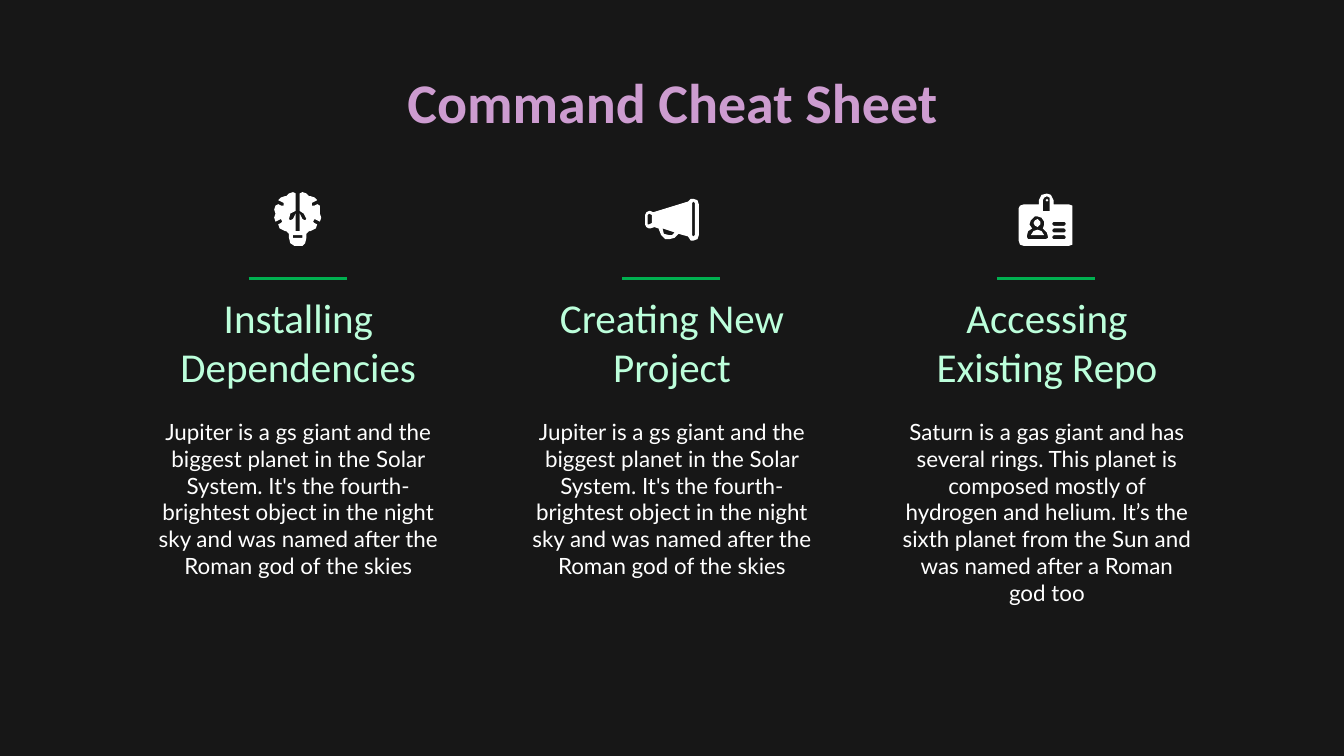
"""Build the Command Cheat Sheet slide with three icon columns."""
from lxml import etree
from pptx import Presentation, util as u
from pptx.dml.color import RGBColor
from pptx.enum import shapes, text
from pptx.oxml.ns import qn

Inches = u.Inches
COLORS = {
    "background": "171717",
    "white": "FFFFFF",
    "rule": "00B050",
    "title": "CD9CD0",
    "heading": "BCFFDB",
    "fade": "9CCAED",
}

presentation = Presentation()
presentation.slide_width = Inches(10)
presentation.slide_height = Inches(10 * 9 / 16)
slide = presentation.slides.add_slide(presentation.slide_layouts[6])
slide.background.fill.solid()
slide.background.fill.fore_color.rgb = RGBColor.from_string(COLORS["background"])


def add_text(words, left, top, width, height, size, font, colors, bold=False, anchor="TOP"):
    shape = slide.shapes.add_textbox(Inches(left), Inches(top), Inches(width), Inches(height))
    frame = shape.text_frame
    frame.word_wrap = True
    frame.vertical_anchor = text.MSO_ANCHOR[anchor]
    frame.margin_left = frame.margin_right = Inches(0.1)
    frame.margin_top = frame.margin_bottom = Inches(0.1)
    paragraph = frame.paragraphs[0]
    paragraph.alignment = text.PP_ALIGN.CENTER
    run = paragraph.add_run()
    run.text = words
    run.font.name = font
    run.font.size = u.Pt(size)
    run.font.bold = bold
    if len(colors) == 1:
        run.font.fill.solid()
        run.font.fill.fore_color.rgb = RGBColor.from_string(COLORS[colors[0]])
    else:
        run.font.fill.gradient()
        for stop, color in zip(run.font.fill.gradient_stops, colors):
            stop.color.rgb = RGBColor.from_string(COLORS[color])


def add_outline(parent, contours):
    builder = None
    for start, *points in contours:
        if builder is None:
            builder = parent.build_freeform(*start, scale=Inches(0.01))
        else:
            builder.move_to(*start)
        builder.add_line_segments(points, close=True)
    shape = builder.convert_to_shape()
    shape.shadow.inherit = False
    shape.fill.solid()
    shape.fill.fore_color.rgb = RGBColor.from_string(COLORS["white"])
    shape.line.fill.background()


brain_bulb = [
    [(225, 175), (225, 177), (218, 177), (218, 175)],
    [(218, 143), (215, 144), (213, 146), (212, 146), (209, 147), (207, 149), (211, 151),
     (211, 153), (210, 153), (209, 153), (207, 152), (205, 153), (204, 156), (205, 159),
     (204, 162), (205, 165), (209, 163), (210, 165), (209, 166), (207, 167), (208, 170),
     (212, 172), (213, 172), (215, 174), (215, 177), (216, 181), (219, 183), (222, 183),
     (225, 183), (227, 181), (228, 177), (228, 174), (230, 172), (231, 172), (235, 170),
     (236, 167), (234, 166), (233, 165), (234, 163), (238, 165), (239, 162), (238, 159),
     (238, 156), (238, 153), (236, 152), (234, 153), (233, 153), (232, 153), (232, 151),
     (236, 149), (234, 147), (231, 146), (230, 146), (228, 144), (225, 143), (223, 144),
     (223, 157), (226, 159), (228, 163), (227, 164), (225, 163), (223, 159), (223, 172),
     (220, 172), (220, 159), (218, 163), (216, 164), (215, 163), (216, 159), (220, 157),
     (220, 144)],
]
megaphone = [
    [(483, 159), (485, 160), (485, 166), (483, 167), (482, 167), (482, 160)],
    [(493, 170), (502, 173), (500, 175), (498, 175), (494, 174)],
    [(516, 150), (517, 151), (517, 175), (516, 176), (515, 175), (515, 151)],
    [(516, 148), (514, 148), (512, 150), (486, 158), (484, 157), (483, 157), (481, 158),
     (480, 160), (480, 167), (481, 169), (483, 170), (484, 170), (487, 169), (490, 170),
     (492, 175), (495, 178), (498, 178), (502, 177), (505, 174), (512, 176), (514, 179),
     (516, 179), (519, 178), (520, 175), (520, 152), (519, 149)],
]
detail_lines = [
    [(792, y), (793, y + 1), (793, y + 2), (792, y + 3), (784, y + 3), (783, y + 2),
     (783, y + 1), (784, y)]
    for y in (165, 170, 175)
]
badge = detail_lines + [
    [(779, 146), (781, 147), (781, 157), (776, 157), (776, 149), (777, 147)],
    [(772, 161), (775, 162), (777, 165), (777, 167), (776, 170), (779, 173), (780, 177),
     (778, 178), (765, 178), (764, 176), (765, 172), (768, 170), (766, 167), (767, 164),
     (770, 161)],
    [(779, 144), (775, 145), (773, 149), (773, 152), (762, 152), (759, 153), (758, 155),
     (758, 179), (759, 182), (762, 183), (795, 183), (798, 182), (798, 179), (798, 155),
     (798, 153), (795, 152), (784, 152), (784, 149), (782, 145)],
]
badge_shoulders = [[(772, 171), (769, 172), (767, 175), (777, 175), (775, 172)]]
badge_head = [[(772, 163), (770, 164), (769, 166), (770, 168), (772, 169), (774, 167),
               (774, 165)]]
badge_clip = [[(779, 148), (778, 149), (779, 150), (780, 149)]]

jupiter = (
    "Jupiter is a gs giant and the biggest planet in the Solar System. It's the "
    "fourth-brightest object in the night sky and was named after the Roman god of the skies"
)
saturn = (
    "Saturn is a gas giant and has several rings. This planet is composed mostly of hydrogen "
    "and helium. It’s the sixth planet from the Sun and was named after a Roman god too"
)
columns = [
    (1.03, "Installing Dependencies", jupiter, [brain_bulb]),
    (3.81, "Creating New Project", jupiter, [megaphone]),
    (6.6, "Accessing Existing Repo", saturn,
     [badge_shoulders, badge_head, badge, badge_clip]),
]

add_text("Command Cheat Sheet", 0.79, 0.4, 8.43, 0.63, size=30, font="Calibri",
         colors=["title", "fade"], bold=True)

for left, heading, body, icon in columns:
    parent = slide.shapes if len(icon) == 1 else slide.shapes.add_group_shape().shapes
    for contours in icon:
        add_outline(parent, contours)
    rule = slide.shapes.add_connector(
        shapes.MSO_CONNECTOR.STRAIGHT,
        Inches(left + 0.82), Inches(2.07), Inches(left + 1.55), Inches(2.07))
    rule.line.color.rgb = RGBColor.from_string(COLORS["rule"])
    rule.line.width = u.Pt(1.5)
    etree.SubElement(rule._element.spPr, qn("a:effectLst"))
    add_text(heading, left, 2.49, 2.38, 0.52, size=22, font="Calibri",
             colors=["heading", "fade"], anchor="BOTTOM")
    add_text(body, left, 3.01, 2.38, 1.65, size=12, font="Lato", colors=["white"])

presentation.save("out.pptx")
